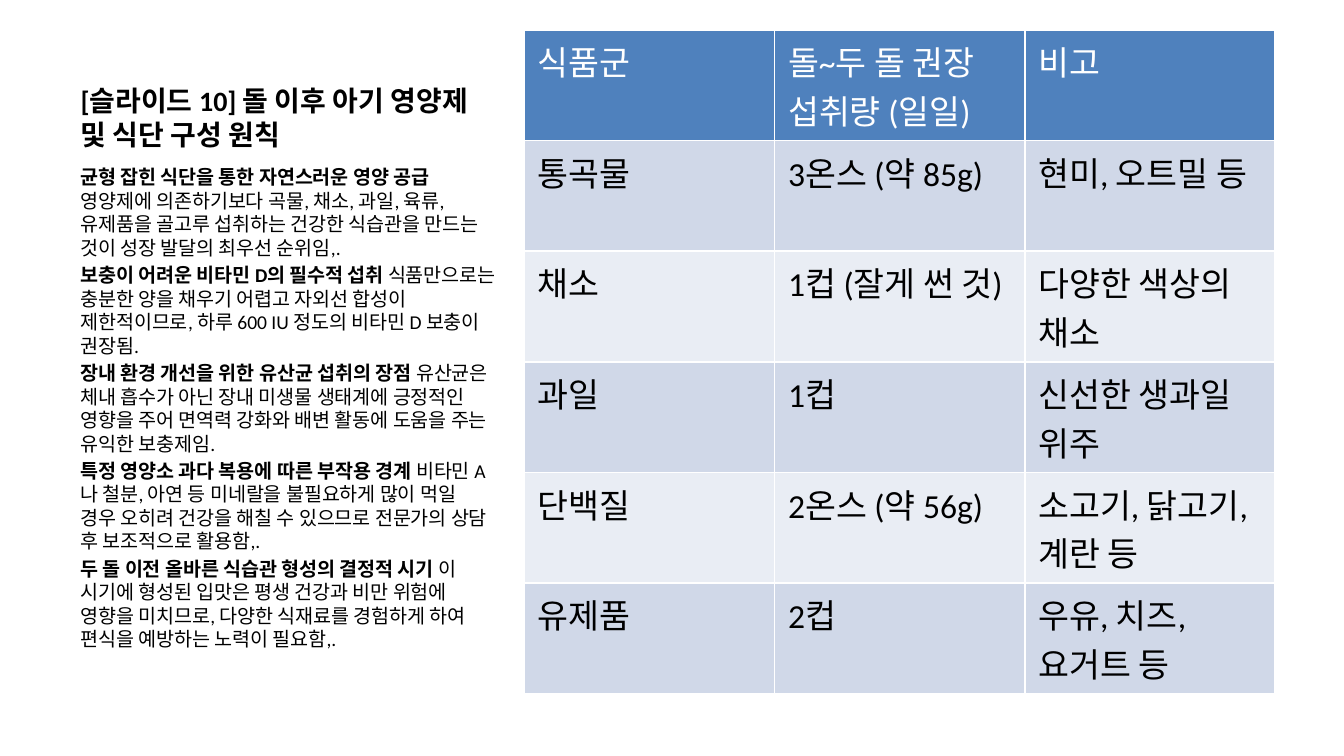
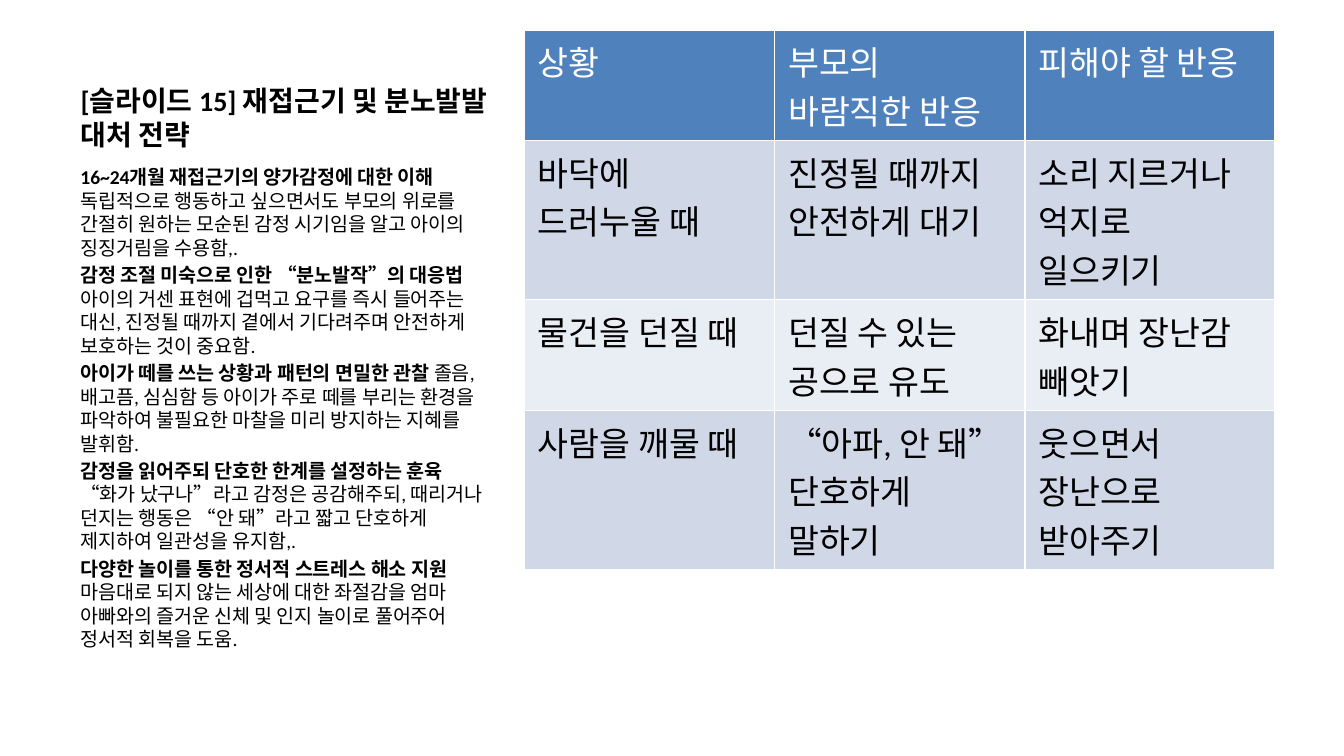
from lxml.etree import SubElement
from pptx import Presentation
from pptx.dml.color import RGBColor
from pptx.enum.text import MSO_ANCHOR as Anchor, MSO_AUTO_SIZE as AutoSize, PP_ALIGN as Align
from pptx.oxml.ns import qn
from pptx.util import Pt

FONT = "Calibri"
BLACK, WHITE = "000000", "FFFFFF"
HEADER_FILL = "4F81BD"
BAND_FILLS = ("D0D8E8", "E9EDF4")
TITLE_BOX = (36, 16, 237, 68.5)
ADVICE_BOX = (36, 85, 237, 277)
TABLE_BOX = (281, 16, 402, 345)
CELL_PADDING, CELL_LINE = 7.3, 26

NUTRITION = {
    "title": "[슬라이드 10] 돌 이후 아기 영양제 및 식단 구성 원칙",
    "advice": [
        ("균형 잡힌 식단을 통한 자연스러운 영양 공급",
         "영양제에 의존하기보다 곡물, 채소, 과일, 육류, 유제품을 골고루 섭취하는 건강한 식습관을 만드는 것이 성장 발달의 최우선 순위임,."),
        ("보충이 어려운 비타민 D의 필수적 섭취",
         "식품만으로는 충분한 양을 채우기 어렵고 자외선 합성이 제한적이므로, 하루 600 IU 정도의 비타민 D 보충이 권장됨."),
        ("장내 환경 개선을 위한 유산균 섭취의 장점",
         "유산균은 체내 흡수가 아닌 장내 미생물 생태계에 긍정적인 영향을 주어 면역력 강화와 배변 활동에 도움을 주는 유익한 보충제임."),
        ("특정 영양소 과다 복용에 따른 부작용 경계",
         "비타민 A나 철분, 아연 등 미네랄을 불필요하게 많이 먹일 경우 오히려 건강을 해칠 수 있으므로 전문가의 상담 후 보조적으로 활용함,."),
        ("두 돌 이전 올바른 식습관 형성의 결정적 시기",
         "이 시기에 형성된 입맛은 평생 건강과 비만 위험에 영향을 미치므로, 다양한 식재료를 경험하게 하여 편식을 예방하는 노력이 필요함,."),
    ],
    "table": [
        ("식품군", "돌~두 돌 권장 섭취량 (일일)", "비고"),
        ("통곡물", "3온스 (약 85g)", "현미, 오트밀 등"),
        ("채소", "1컵 (잘게 썬 것)", "다양한 색상의 채소"),
        ("과일", "1컵", "신선한 생과일 위주"),
        ("단백질", "2온스 (약 56g)", "소고기, 닭고기, 계란 등"),
        ("유제품", "2컵", "우유, 치즈, 요거트 등"),
    ],
    "row_lines": (2, 2, 2, 2, 2, 2),
}

TANTRUMS = {
    "title": "[슬라이드 15] 재접근기 및 분노발발 대처 전략",
    "advice": [
        ("16~24개월 재접근기의 양가감정에 대한 이해",
         "독립적으로 행동하고 싶으면서도 부모의 위로를 간절히 원하는 모순된 감정 시기임을 알고 아이의 징징거림을 수용함,."),
        ("감정 조절 미숙으로 인한 “분노발작”의 대응법",
         "아이의 거센 표현에 겁먹고 요구를 즉시 들어주는 대신, 진정될 때까지 곁에서 기다려주며 안전하게 보호하는 것이 중요함."),
        ("아이가 떼를 쓰는 상황과 패턴의 면밀한 관찰",
         "졸음, 배고픔, 심심함 등 아이가 주로 떼를 부리는 환경을 파악하여 불필요한 마찰을 미리 방지하는 지혜를 발휘함."),
        ("감정을 읽어주되 단호한 한계를 설정하는 훈육",
         "“화가 났구나”라고 감정은 공감해주되, 때리거나 던지는 행동은 “안 돼”라고 짧고 단호하게 제지하여 일관성을 유지함,."),
        ("다양한 놀이를 통한 정서적 스트레스 해소 지원",
         "마음대로 되지 않는 세상에 대한 좌절감을 엄마 아빠와의 즐거운 신체 및 인지 놀이로 풀어주어 정서적 회복을 도움."),
    ],
    "table": [
        ("상황", "부모의 바람직한 반응", "피해야 할 반응"),
        ("바닥에 드러누울 때", "진정될 때까지 안전하게 대기", "소리 지르거나 억지로 일으키기"),
        ("물건을 던질 때", "던질 수 있는 공으로 유도", "화내며 장난감 빼앗기"),
        ("사람을 깨물 때", "“아파, 안 돼” 단호하게 말하기", "웃으면서 장난으로 받아주기"),
    ],
    "row_lines": (2, 3, 2, 3),
}


def color(value):
    """Turn a hex string into a colour."""
    return RGBColor.from_string(value)


def add_run(paragraph, text, size, fill=BLACK, bold=False):
    """Append one formatted run."""
    run = paragraph.add_run()
    run.text = text
    run.font.name = FONT
    run.font.size = Pt(size)
    run.font.bold = bold
    run.font.color.rgb = color(fill)


def set_borders(cell):
    """Draw thin white borders on all four sides."""
    properties = cell._tc.get_or_add_tcPr()
    for index, tag in enumerate(("a:lnL", "a:lnR", "a:lnT", "a:lnB")):
        line = SubElement(properties, qn(tag), w=str(Pt(1)))
        fill = SubElement(line, qn("a:solidFill"))
        SubElement(fill, qn("a:srgbClr"), val=WHITE)
        properties.insert(index, line)


def place_title(slide, box, text):
    """Move the title placeholder into its box and fill it."""
    title = slide.shapes.title
    title.left, title.top, title.width, title.height = map(Pt, box)
    frame = title.text_frame
    frame.auto_size = AutoSize.NONE
    frame.vertical_anchor = Anchor.BOTTOM
    frame.paragraphs[0].alignment = Align.LEFT
    add_run(frame.paragraphs[0], text, 15, bold=True)


def add_advice(slide, box, advice):
    """List each point as a bold heading followed by its explanation."""
    frame = slide.shapes.add_textbox(*map(Pt, box)).text_frame
    frame.word_wrap = True
    for index, (heading, explanation) in enumerate(advice):
        paragraph = frame.add_paragraph() if index else frame.paragraphs[0]
        paragraph.space_before = Pt(2.1)
        add_run(paragraph, heading, 10.5, bold=True)
        add_run(paragraph, f" {explanation}", 10.5)


def add_guide_table(slide, box, rows, row_lines):
    """Add a banded table whose rows are as high as their lines of text."""
    table = slide.shapes.add_table(len(rows), len(rows[0]), *map(Pt, box)).table
    for row_index, (texts, lines) in enumerate(zip(rows, row_lines)):
        header = row_index == 0
        fill = HEADER_FILL if header else BAND_FILLS[(row_index - 1) % 2]
        table.rows[row_index].height = Pt(CELL_PADDING + CELL_LINE * lines)
        for column_index, text in enumerate(texts):
            cell = table.cell(row_index, column_index)
            cell.fill.solid()
            cell.fill.fore_color.rgb = color(fill)
            set_borders(cell)
            add_run(cell.text_frame.paragraphs[0], text, 18, WHITE if header else BLACK)


def add_guide_slide(presentation, content):
    """Build a slide with advice on the left and a table on the right."""
    slide = presentation.slides.add_slide(presentation.slide_layouts[5])
    place_title(slide, TITLE_BOX, content["title"])
    add_advice(slide, ADVICE_BOX, content["advice"])
    add_guide_table(slide, TABLE_BOX, content["table"], content["row_lines"])


def main():
    """Create and save the presentation."""
    presentation = Presentation()
    presentation.slide_width, presentation.slide_height = Pt(720), Pt(405)
    for content in (NUTRITION, TANTRUMS):
        add_guide_slide(presentation, content)
    presentation.save("out.pptx")


if __name__ == "__main__":
    main()
